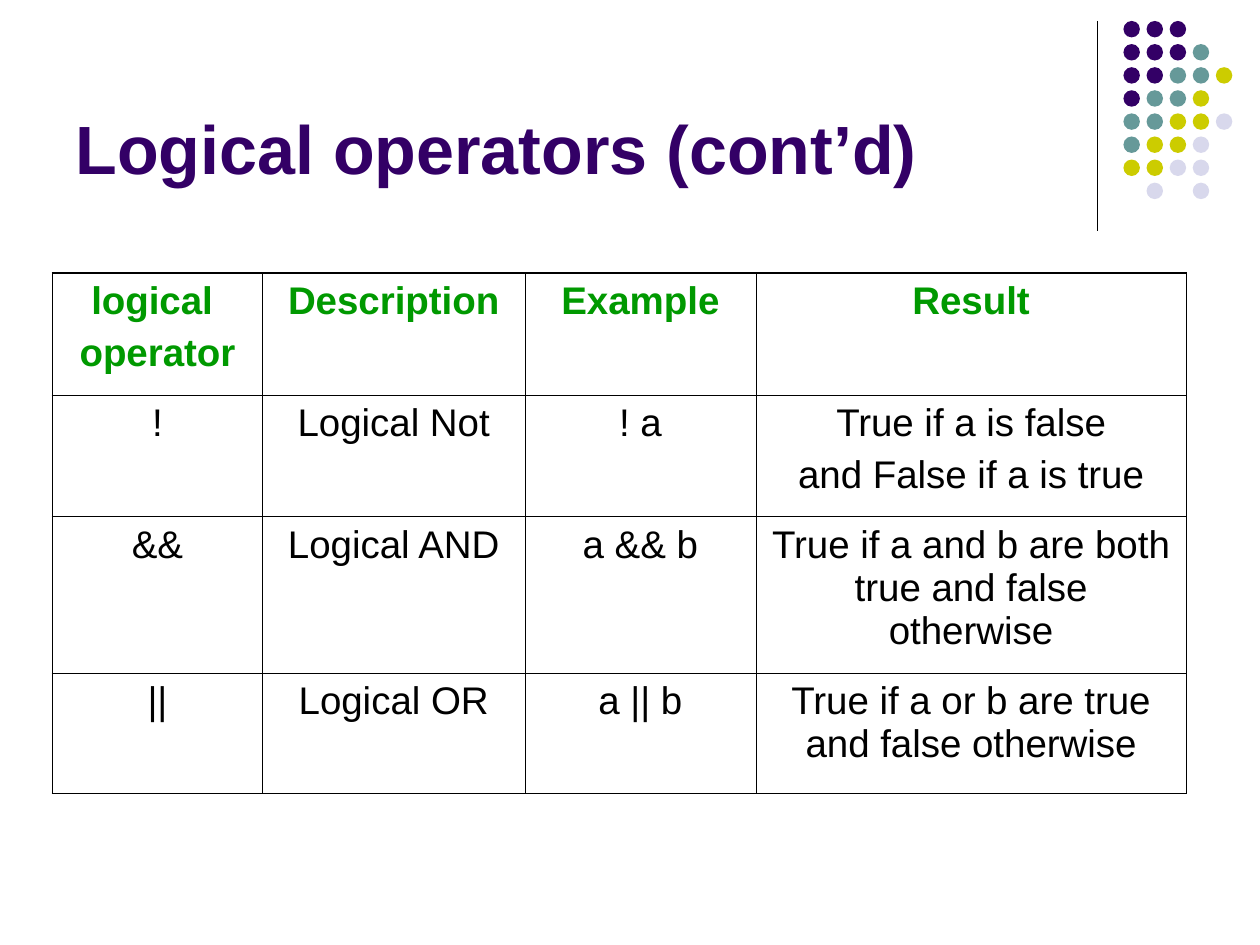
from lxml import etree
from pptx import Presentation
from pptx.dml.color import RGBColor
from pptx.enum import shapes, text
from pptx.oxml import ns
from pptx.util import Pt

PURPLE, GREEN, BLACK = "330066", "009900", "000000"
DOT_COLORS = {"P": PURPLE, "T": "669999", "Y": "CCCC00", "L": "D8D8EC"}
DOT_ROWS = ["PPP", "PPPT", "PPTTY", "PTTY", "TTYYL", "TYYL", "YYLL", " L L"]
COLUMN_WIDTHS = [120, 150, 132, 246]
ROW_HEIGHTS = [69.7, 69.7, 89.2, 69]
OPERATORS = [
    ["logical \noperator", "Description", "Example", "Result"],
    ["!", "Logical Not", "! a", "True if a is false\nand False if a is true"],
    ["&&", "Logical AND", "a && b",
     "True if a and b are both true and false otherwise"],
    ["||", "Logical OR", "a || b",
     "True if a or b are true and false otherwise"],
]


def rgb(value):
    return RGBColor.from_string(value)


def format_runs(paragraph, size, color, bold):
    for run in paragraph.runs:
        run.font.name = "Arial"
        run.font.size = Pt(size)
        run.font.bold = bold
        run.font.color.rgb = rgb(color)


def add_title(slide, wording):
    title = slide.shapes.title
    title.left, title.top = Pt(36), Pt(9.4)
    title.width, title.height = Pt(594), Pt(102)
    frame = title.text_frame
    frame.text = wording
    frame.auto_size = text.MSO_AUTO_SIZE.NONE
    frame.vertical_anchor = text.MSO_ANCHOR.BOTTOM
    heading = frame.paragraphs[0]
    heading.alignment = text.PP_ALIGN.LEFT
    format_runs(heading, 39, PURPLE, True)


def add_divider(slide):
    divider = slide.shapes.add_connector(
        shapes.MSO_CONNECTOR.STRAIGHT, Pt(627), Pt(12), Pt(627), Pt(132))
    divider.line.color.rgb = rgb(BLACK)
    divider.line.width = Pt(0.75)
    etree.SubElement(divider._element.spPr, ns.qn("a:effectLst"))


def add_dots(slide, left, top, pitch, diameter):
    for row, pattern in enumerate(DOT_ROWS):
        for column, key in enumerate(pattern):
            if key == " ":
                continue
            dot = slide.shapes.add_shape(
                shapes.MSO_SHAPE.OVAL, Pt(left + column * pitch),
                Pt(top + row * pitch), Pt(diameter), Pt(diameter))
            dot.shadow.inherit = False
            dot.fill.solid()
            dot.fill.fore_color.rgb = rgb(DOT_COLORS[key])
            dot.line.fill.background()


def set_border(cell, side, width):
    border = etree.SubElement(cell._tc.get_or_add_tcPr(), ns.qn(f"a:ln{side}"),
                              w=str(int(Pt(width))))
    fill = etree.SubElement(border, ns.qn("a:solidFill"))
    etree.SubElement(fill, ns.qn("a:srgbClr"), val=BLACK)


def fill_cell(cell, wording, is_header, outer_sides):
    cell.text_frame.text = wording
    for paragraph in cell.text_frame.paragraphs:
        paragraph.alignment = text.PP_ALIGN.CENTER
        paragraph.space_before = Pt(5.5)
        format_runs(paragraph, 22, GREEN if is_header else BLACK, is_header)
    for side in "LRTB":
        set_border(cell, side, 1.08 if side in outer_sides else 0.45)
    cell.fill.background()


def add_operator_table(slide):
    row_count, column_count = len(OPERATORS), len(COLUMN_WIDTHS)
    table = slide.shapes.add_table(
        row_count, column_count, Pt(30), Pt(156),
        Pt(sum(COLUMN_WIDTHS)), Pt(sum(ROW_HEIGHTS))).table
    table.horz_banding = False
    table.first_row = False
    for column, width in zip(table.columns, COLUMN_WIDTHS):
        column.width = Pt(width)
    for row, height in zip(table.rows, ROW_HEIGHTS):
        row.height = Pt(height)
    for row, wordings in enumerate(OPERATORS):
        for column, wording in enumerate(wordings):
            edges = {"L": column == 0, "R": column == column_count - 1,
                     "T": row == 0, "B": row == row_count - 1}
            outer_sides = [side for side, is_outer in edges.items() if is_outer]
            fill_cell(table.cell(row, column), wording, row == 0, outer_sides)


def main():
    deck = Presentation()
    deck.slide_width, deck.slide_height = Pt(720), Pt(540)
    slide = deck.slides.add_slide(deck.slide_layouts[5])
    add_divider(slide)
    add_dots(slide, 642, 12, 13.2, 9.4)
    add_title(slide, "Logical operators (cont’d)")
    add_operator_table(slide)
    deck.save("out.pptx")


if __name__ == "__main__":
    main()
